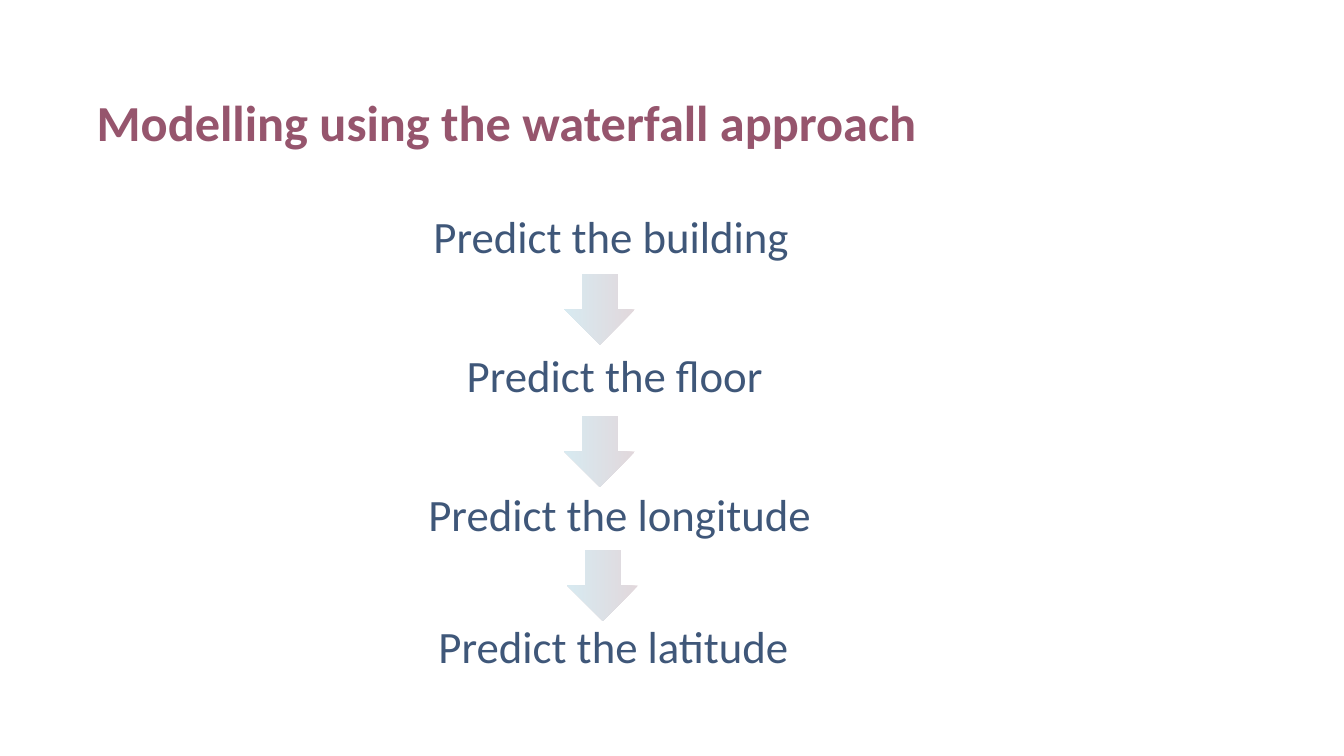
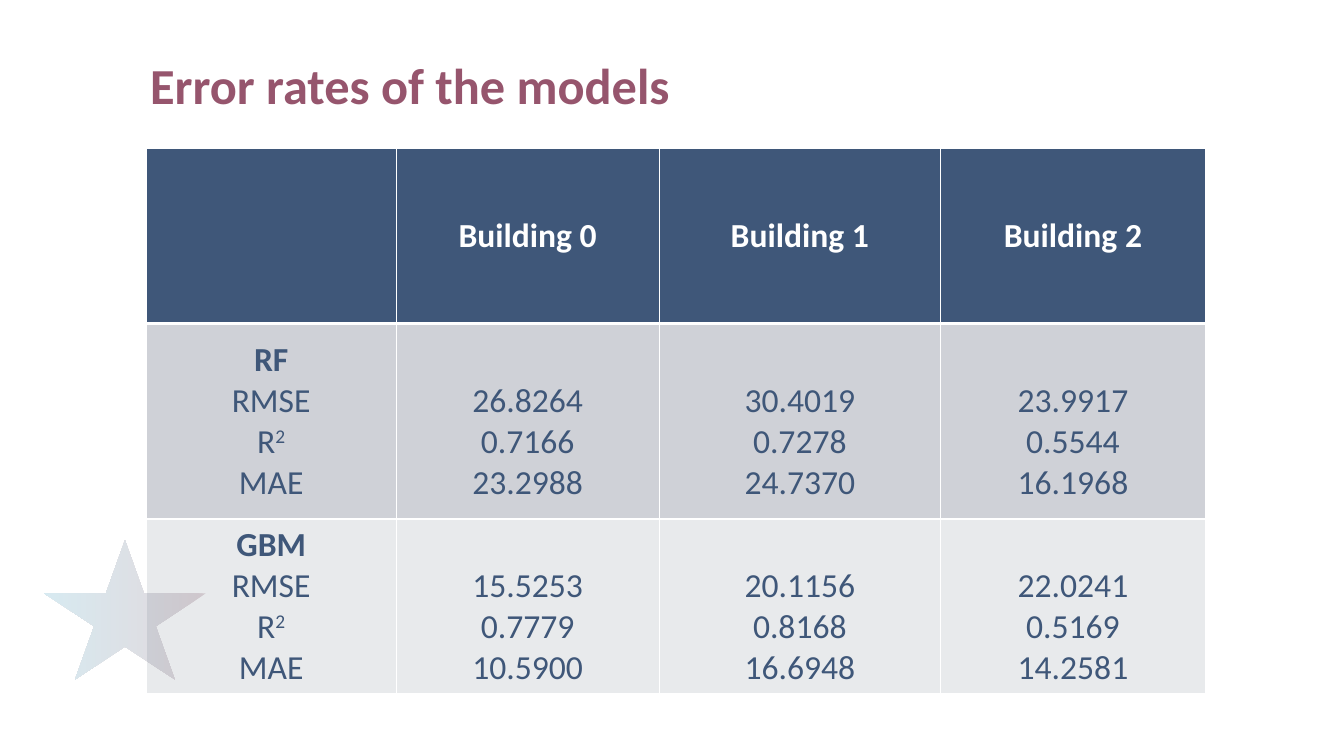
from lxml.etree import SubElement
from pptx import Presentation
from pptx.dml.color import RGBColor
from pptx.enum.shapes import MSO_SHAPE as SHAPE
from pptx.enum.text import MSO_ANCHOR as ANCHOR, PP_ALIGN as ALIGN
from pptx.oxml.ns import qn
from pptx.util import Pt

FONT = "Calibri"
PLUM = RGBColor(0x96, 0x55, 0x6D)
NAVY = RGBColor(0x3F, 0x57, 0x79)
WHITE = RGBColor(0xFF, 0xFF, 0xFF)
FADE = [RGBColor(0x6D, 0x3B, 0x4F), RGBColor(0x3B, 0x99, 0xBB)]
BAND_FILLS = [RGBColor(0xCF, 0xD1, 0xD7), RGBColor(0xE8, 0xEA, 0xEC)]

WATERFALL_TITLE = ("Modelling using the waterfall approach", (66.2, 43.2, 643, 65.5))
STEPS = [
    ("Predict the building", 306.7, 153.4),
    ("Predict the floor", 330.5, 252.7),
    ("Predict the longitude", 303.1, 352.1),
    ("Predict the latitude", 310.3, 446.4),
]
STEP_SIZE = (280.8, 59)
ARROWS = [(403.2, 195.8), (403.2, 297.4), (405.4, 393.1)]
ARROW_SIZE = (50.4, 50.4)

ERRORS_TITLE = ("Error rates of the models", (104.4, 13, 746.6, 69.1))
BUILDINGS = ["Building 0", "Building 1", "Building 2"]
METRICS = [("RMSE", ""), ("R", "2"), ("MAE", "")]
MODELS = [
    ("RF", [
        ("26.8264", "0.7166", "23.2988"),
        ("30.4019", "0.7278", "24.7370"),
        ("23.9917", "0.5544", "16.1968"),
    ]),
    ("GBM", [
        ("15.5253", "0.7779", "10.5900"),
        ("20.1156", "0.8168", "16.6948"),
        ("22.0241", "0.5169", "14.2581"),
    ]),
]
TABLE_AT = (104.4, 105.8)
COL_WIDTHS = [178.6, 187.9, 200.9, 189.4]
ROW_HEIGHTS = [125.3, 139.7, 124.5]
CELL_MARGIN = 3.6
MODEL_LINE = 29.3
STAR_AT = (31.7, 385.9, 115.2, 99.4)


def style(p, size, color, bold=False):
    p.font.name = FONT
    p.font.size = Pt(size)
    p.font.bold = bold
    p.font.color.rgb = color


def add_text(slide, text, box, size, color, bold=False, anchor=ANCHOR.TOP):
    tf = slide.shapes.add_textbox(*map(Pt, box)).text_frame
    tf.word_wrap = True
    tf.vertical_anchor = anchor
    tf.margin_left = Pt(2.9)
    tf.margin_top = tf.margin_right = tf.margin_bottom = 0
    p = tf.paragraphs[0]
    p.text = text
    p.line_spacing = 0.9
    style(p, size, color, bold)


def add_slide(prs, title, box):
    slide = prs.slides.add_slide(prs.slide_layouts[6])
    add_text(slide, title, box, 36, PLUM, True, ANCHOR.BOTTOM)
    return slide


def add_faded_shape(slide, kind, box):
    s = slide.shapes.add_shape(kind, *map(Pt, box))
    s.shadow.inherit = False
    s.line.fill.background()
    s.fill.gradient()
    s.fill.gradient_angle = 180
    for stop, color in zip(s.fill.gradient_stops, FADE):
        stop.color.rgb = color
    for color in s.element.spPr.iter(qn("a:srgbClr")):
        SubElement(color, qn("a:alpha"), val="20000")


def add_border(cell, side, width):
    tag = qn("a:ln" + side)
    ln = SubElement(cell._tc.get_or_add_tcPr(), tag, w=str(Pt(width)))
    fill = SubElement(ln, qn("a:solidFill"))
    SubElement(fill, qn("a:srgbClr"), val=str(WHITE))


def fill_cell(cell, lines, color, bold_first=False):
    tf = cell.text_frame
    for i, (text, power) in enumerate(lines):
        p = tf.add_paragraph() if i else tf.paragraphs[0]
        p.alignment = ALIGN.CENTER
        style(p, 24, color, bold_first and i == 0)
        p.add_run().text = text
        if power:
            r = p.add_run()
            r.text = power
            r._r.get_or_add_rPr().set("baseline", "30000")


def add_error_table(slide):
    grid = [[[]] + [[(name, "")] for name in BUILDINGS]]
    for model, results in MODELS:
        values = [[(v, "") for v in column] for column in results]
        grid.append([[(model, "")] + METRICS] + values)
    size = (sum(COL_WIDTHS), sum(ROW_HEIGHTS))
    table = slide.shapes.add_table(
        len(grid), len(COL_WIDTHS), *map(Pt, TABLE_AT + size)).table
    for column, width in zip(table.columns, COL_WIDTHS):
        column.width = Pt(width)
    for i, (row, height) in enumerate(zip(table.rows, ROW_HEIGHTS)):
        row.height = Pt(height)
        for j, cell in enumerate(row.cells):
            header = i == 0
            widths = {"L": 1, "R": 1, "T": 3 if i == 1 else 1, "B": 3 if header else 1}
            for side, width in widths.items():
                add_border(cell, side, width)
            cell.fill.solid()
            cell.fill.fore_color.rgb = NAVY if header else BAND_FILLS[i - 1]
            cell.vertical_anchor = ANCHOR.MIDDLE
            cell.margin_top = Pt(CELL_MARGIN + (MODEL_LINE if i and j else 0))
            cell.margin_bottom = Pt(CELL_MARGIN)
            fill_cell(cell, grid[i][j], WHITE if header else NAVY, header or j == 0)


def main():
    prs = Presentation()
    prs.slide_width, prs.slide_height = Pt(960), Pt(540)

    slide = add_slide(prs, *WATERFALL_TITLE)
    for text, left, top in STEPS:
        add_text(slide, text, (left, top) + STEP_SIZE, 32, NAVY)
    for place in ARROWS:
        add_faded_shape(slide, SHAPE.DOWN_ARROW, place + ARROW_SIZE)

    slide = add_slide(prs, *ERRORS_TITLE)
    add_error_table(slide)
    add_faded_shape(slide, SHAPE.STAR_5_POINT, STAR_AT)

    prs.save("out.pptx")


if __name__ == "__main__":
    main()
